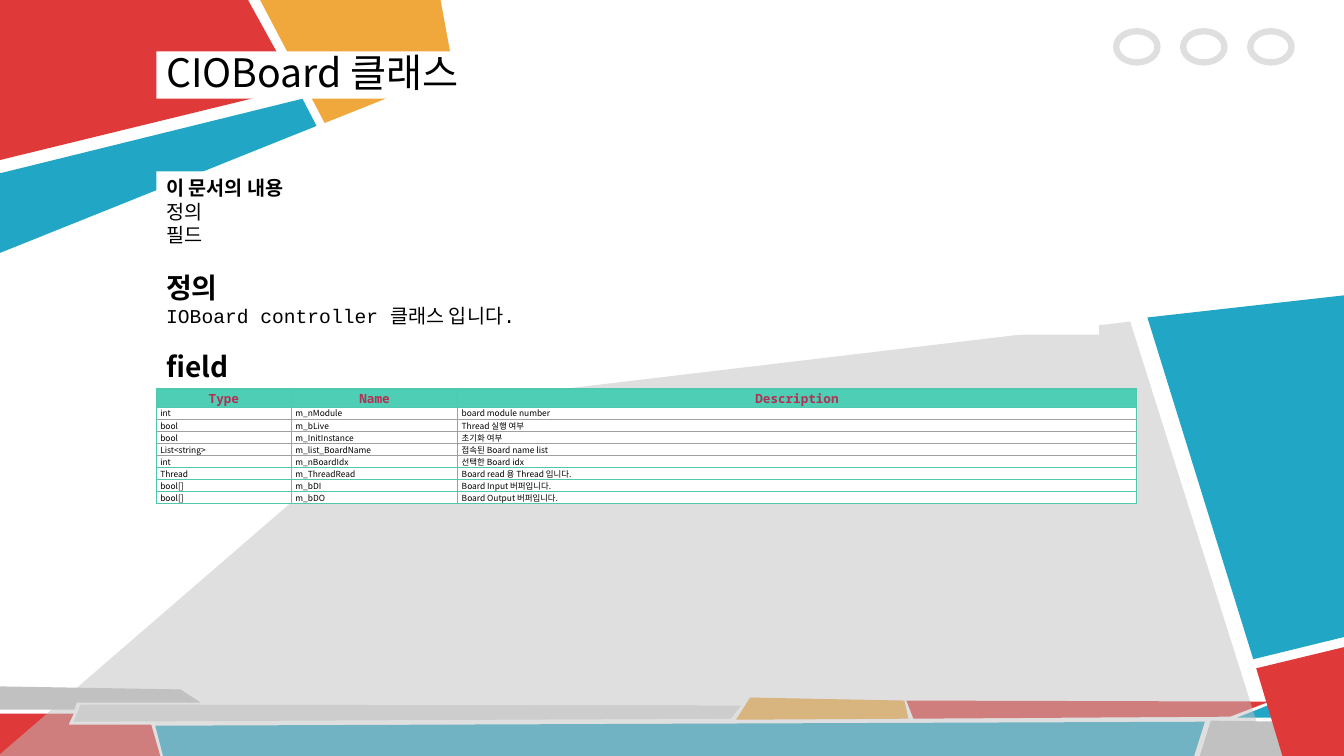
from lxml.etree import SubElement
from pptx import Presentation
from pptx.dml.color import RGBColor
from pptx.enum.shapes import MSO_SHAPE as Shape
from pptx.enum.text import MSO_ANCHOR as Anchor, PP_ALIGN as Align
from pptx.oxml.ns import qn
from pptx.util import Inches, Pt

COLORS = {
    "red": "DF3939", "blue": "21A6C5", "orange": "F0A73C", "gray": "C1C1C1",
    "light": "DADADA", "white": "FFFFFF", "black": "000000", "header": "4ECEB4",
    "border": "4EC9B0", "divider": "A0A0A0", "heading": "B13155",
}
SANS, CODE, MONO = "Noto Sans CJK KR", "Courier New", "Noto Sans Mono"

POLYGONS = [
    ("gray", 100, [(0, 6.81), (1.79, 6.84), (1.99, 6.97), (0.76, 6.97), (0.74, 7.04), (0, 7.04)]),
    ("red", 100, [(0, 7.08), (0.73, 7.08), (0.68, 7.19), (1.5, 7.19), (1.59, 7.5), (0, 7.5)]),
    ("light", 100, [(0.8, 6.99), (7.35, 7), (7.25, 7.13), (0.73, 7.16)]),
    ("blue", 100, [(1.54, 7.2), (11.95, 7.16), (11.84, 7.51), (1.62, 7.51)]),
    ("orange", 100, [(7.44, 6.92), (8.97, 6.95), (9.01, 7.13), (7.3, 7.14)]),
    ("red", 100, [(8.99, 6.95), (12.59, 6.96), (12.2, 7.11), (9.06, 7.13)]),
    ("blue", 100, [(12.67, 6.96), (13.14, 6.96), (12.72, 7.12), (12.27, 7.12)]),
    ("gray", 100, [(12.01, 7.15), (12.74, 7.16), (13.24, 6.96), (13.33, 6.96), (13.33, 7.5), (11.9, 7.5)]),
    ("red", 100, [(13.33, 6.42), (13.33, 7.5), (12.72, 7.5), (12.46, 6.63)]),
    ("blue", 100, [(11.38, 3.15), (13.33, 2.93), (13.33, 6.32), (12.43, 6.54)]),
    ("gray", 50, [(-0.02, 7.5), (3.97, 4.05), (11.21, 3.19), (12.57, 7.5)]),
    ("orange", 100, [(2.58, 0), (3.22, 1.22), (4.5, 0.71), (4.37, 0)]),
    ("red", 100, [(0, 0), (0, 1.57), (-0.01, 1.59), (2.94, 0.87), (2.46, 0)]),
    ("blue", 100, [(3, 0.98), (3.14, 1.25), (0, 2.51), (0, 1.72)]),
]

LEFT = 1.55
TEXT_BOXES = [
    ((LEFT, 0.51, 7.99, 0.47), Anchor.MIDDLE, [("CIOBoard 클래스", 28, SANS, False, 0.9, 0)]),
    ((LEFT, 1.7, 9.35, 1.62), Anchor.TOP, [
        ("이 문서의 내용", 14, SANS, True, Pt(16.8), 0),
        ("정의", 14, SANS, False, Pt(16.8), 0),
        ("필드", 14, SANS, False, Pt(16.8), 0),
        ("정의", 20, SANS, True, Pt(24), 16.8),
        ("IOBoard controller 클래스 입니다.", 14, CODE, False, Pt(16.8), 0),
    ]),
    ((LEFT, 3.42, 1.63, 0.44), Anchor.TOP, [("field", 20, SANS, True, Pt(24), 0)]),
]

FIELDS = [
    ("Type", "Name", "Description"),
    ("int", "m_nModule", "board module number"),
    ("bool", "m_bLive", "Thread 실행 여부"),
    ("bool", "m_InitInstance", "초기화 여부"),
    ("List<string>", "m_list_BoardName", "접속된 Board name list"),
    ("int", "m_nBoardIdx", "선택한 Board idx"),
    ("Thread", "m_ThreadRead", "Board read 용 Thread 입니다."),
    ("bool[]", "m_bDI", "Board Input 버퍼입니다."),
    ("bool[]", "m_bDO", "Board Output 버퍼입니다."),
]
COLUMN_WIDTHS = [1.34, 1.65, 6.73]
HEADER_HEIGHT, ROW_HEIGHT = 0.18, 0.12
GRAY_LINES_BELOW = range(1, 5)


def rgb(name):
    return RGBColor.from_string(COLORS[name])


def set_alpha(owner, percent):
    for color in owner.iter(qn("a:srgbClr")):
        SubElement(color, qn("a:alpha"), val=str(percent * 1000))


def set_font(paragraph, size, name, bold, color):
    font = paragraph.font
    font.size, font.name, font.bold = Pt(size), name, bold
    font.color.rgb = rgb(color)
    for run in paragraph.runs:
        run.font.name = name
        SubElement(run.font._element, qn("a:ea"), typeface=SANS)


def add_polygon(slide, color, alpha, points):
    corners = [(Inches(x), Inches(y)) for x, y in points]
    builder = slide.shapes.build_freeform(*corners[0])
    builder.add_line_segments(corners[1:], close=True)
    shape = builder.convert_to_shape()
    shape.shadow.inherit = False
    shape.fill.solid()
    shape.fill.fore_color.rgb = rgb(color)
    shape.line.fill.background()
    if alpha < 100:
        set_alpha(shape._element.spPr, alpha)


def add_ring(slide, left):
    ring = slide.shapes.add_shape(Shape.OVAL, Inches(left), Inches(0.31), Inches(0.41), Inches(0.31))
    ring.shadow.inherit = False
    ring.fill.background()
    ring.line.color.rgb = rgb("gray")
    ring.line.width = Pt(4.5)
    set_alpha(ring._element.spPr, 50)


def add_text(slide, box, anchor, lines):
    shape = slide.shapes.add_textbox(*map(Inches, box))
    shape.fill.solid()
    shape.fill.fore_color.rgb = rgb("white")
    frame = shape.text_frame
    frame.word_wrap = True
    frame.vertical_anchor = anchor
    for index, (text, size, name, bold, spacing, before) in enumerate(lines):
        paragraph = frame.add_paragraph() if index else frame.paragraphs[0]
        paragraph.text = text
        paragraph.line_spacing = spacing
        paragraph.space_before = Pt(before)
        set_font(paragraph, size, name, bold, "black")


def set_borders(cell, sides):
    properties = cell._tc.get_or_add_tcPr()
    for index, (side, color) in enumerate(sides.items()):
        line = properties.makeelement(qn(f"a:{side}"), {"w": str(Pt(1 if color == "border" else 0.75))})
        fill = SubElement(line, qn("a:solidFill"))
        SubElement(fill, qn("a:srgbClr"), val=COLORS[color])
        properties.insert(index, line)


def add_fields(slide):
    rows, columns = len(FIELDS), len(COLUMN_WIDTHS)
    height = HEADER_HEIGHT + ROW_HEIGHT * (rows - 1)
    table = slide.shapes.add_table(rows, columns, Inches(LEFT), Inches(3.86),
                                   Inches(sum(COLUMN_WIDTHS)), Inches(height)).table
    for column, width in zip(table.columns, COLUMN_WIDTHS):
        column.width = Inches(width)
    for r, values in enumerate(FIELDS):
        header = r == 0
        table.rows[r].height = Inches(HEADER_HEIGHT if header else ROW_HEIGHT)
        inner = "border" if header else "divider"
        for c, value in enumerate(values):
            cell = table.cell(r, c)
            cell.text = value
            cell.margin_left = Inches(0 if header else 0.04)
            cell.margin_right = cell.margin_top = cell.margin_bottom = 0
            cell.vertical_anchor = Anchor.MIDDLE if header else Anchor.TOP
            cell.fill.solid()
            cell.fill.fore_color.rgb = rgb("header" if header else "white")
            paragraph = cell.text_frame.paragraphs[0]
            if header:
                paragraph.alignment = Align.CENTER
                set_font(paragraph, 9, MONO, True, "heading")
            else:
                set_font(paragraph, 6, SANS, False, "black")
            set_borders(cell, {
                "lnL": inner if c else "border",
                "lnR": inner if c < columns - 1 else "border",
                "lnT": "divider" if r - 1 in GRAY_LINES_BELOW else "border",
                "lnB": "divider" if r in GRAY_LINES_BELOW else "border",
            })


def main():
    presentation = Presentation()
    presentation.slide_width, presentation.slide_height = Inches(13.33), Inches(7.5)
    slide = presentation.slides.add_slide(presentation.slide_layouts[6])
    for color, alpha, points in POLYGONS:
        add_polygon(slide, color, alpha, points)
    for index in range(3):
        add_ring(slide, 11.07 + 0.665 * index)
    for box, anchor, lines in TEXT_BOXES:
        add_text(slide, box, anchor, lines)
    add_fields(slide)
    presentation.save("out.pptx")


if __name__ == "__main__":
    main()
